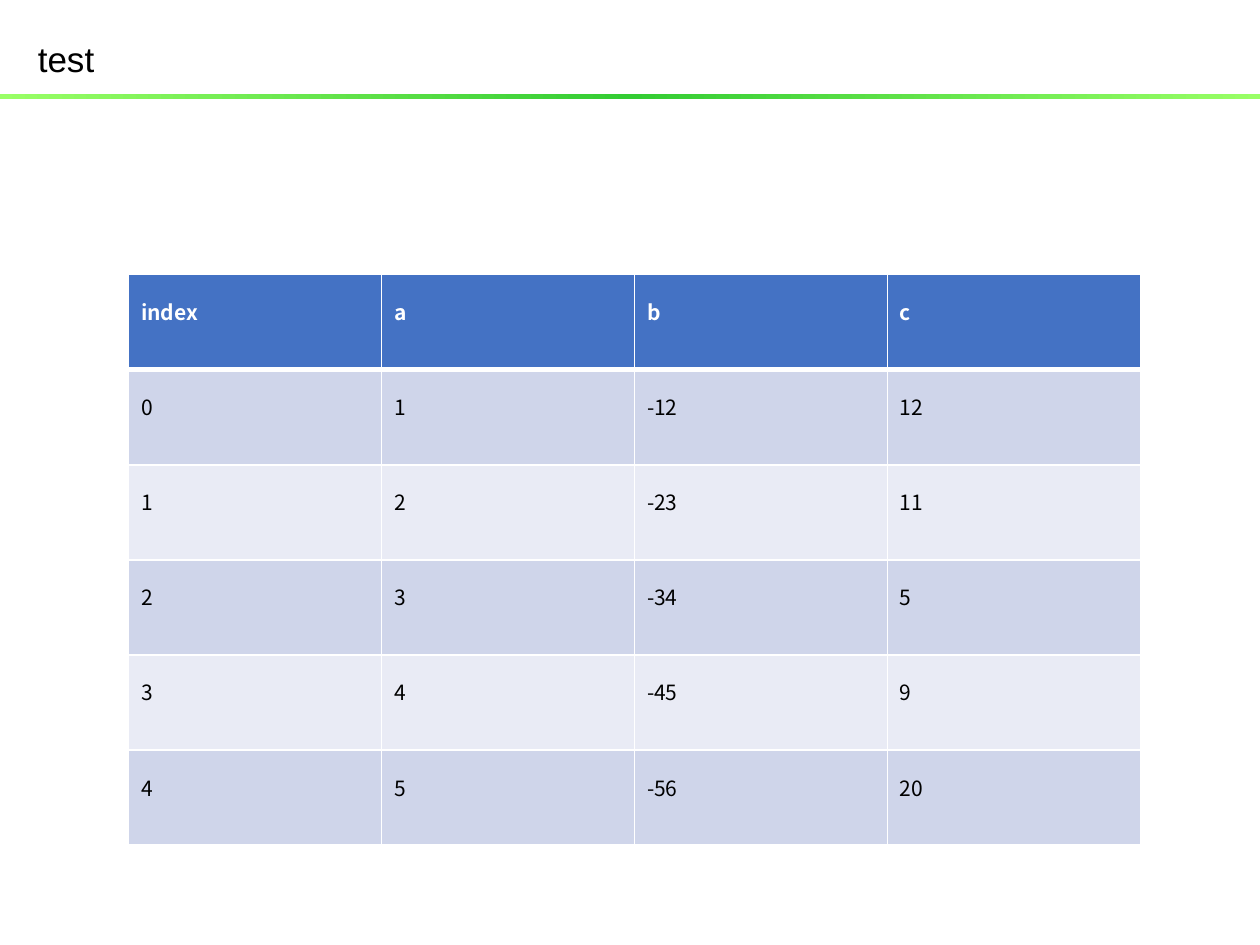
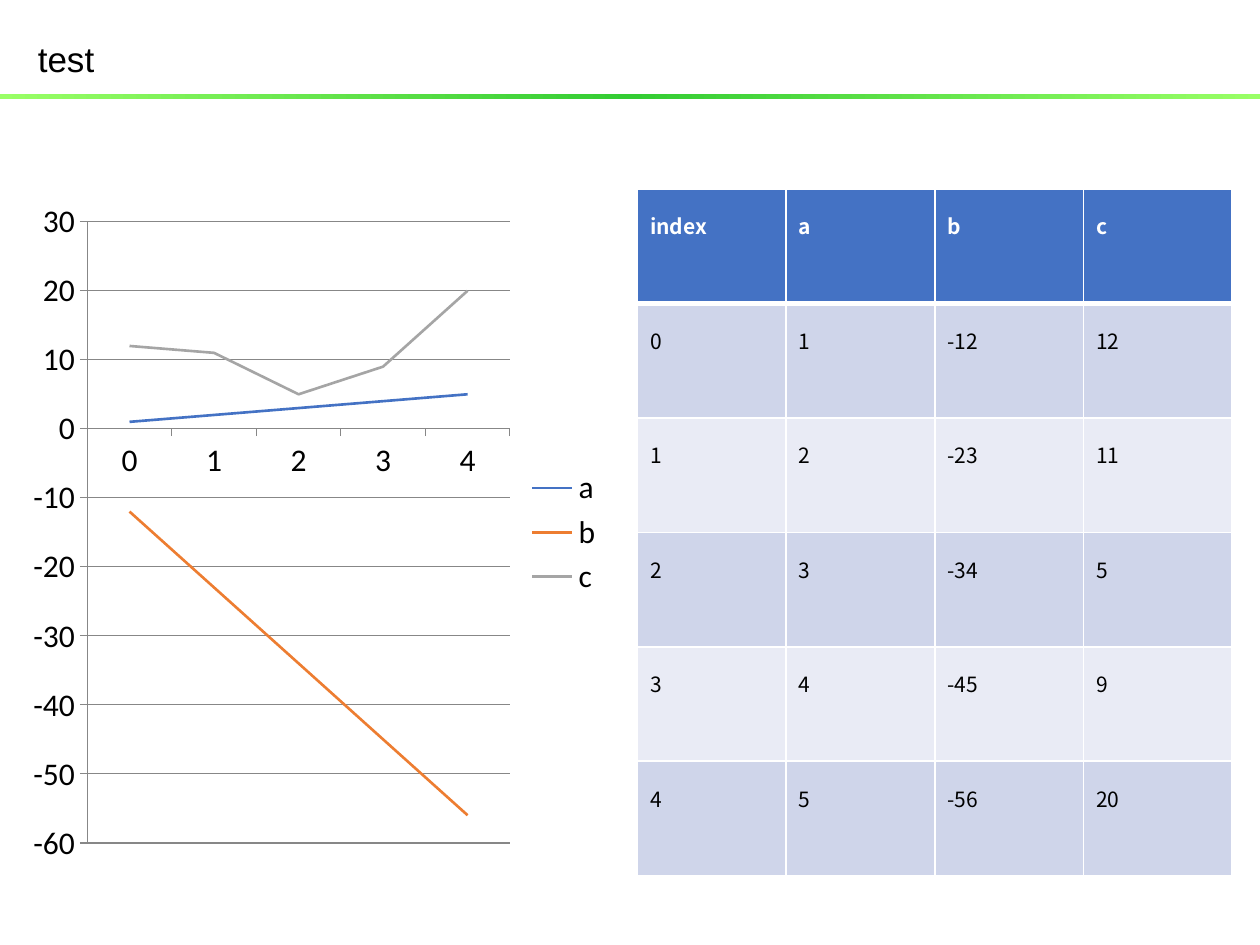
from copy import deepcopy

from lxml import etree
from pptx import Presentation
from pptx import util as u
from pptx.chart.data import CategoryChartData
from pptx.dml.color import RGBColor
from pptx.enum import chart as charts, shapes, text
from pptx.oxml.ns import qn

BLACK = RGBColor(0x00, 0x00, 0x00)
WHITE = RGBColor(0xFF, 0xFF, 0xFF)
LIME = RGBColor(0x99, 0xFF, 0x66)
GREEN = RGBColor(0x33, 0xCC, 0x33)
BLUE = RGBColor(0x44, 0x72, 0xC4)
ORANGE = RGBColor(0xED, 0x7D, 0x31)
GREY = RGBColor(0xA5, 0xA5, 0xA5)
AXIS_GREY = RGBColor(0x87, 0x87, 0x87)
DARK_ROW = RGBColor(0xCF, 0xD5, 0xEA)
LIGHT_ROW = RGBColor(0xE9, 0xEB, 0xF5)

indexes = ["0", "1", "2", "3", "4"]
measures = {
    "a": [1, 2, 3, 4, 5],
    "b": [-12, -23, -34, -45, -56],
    "c": [12, 11, 5, 9, 20],
}
records = [["index", *measures], *zip(indexes, *measures.values())]


def add_border(cell, side, points):
    line = etree.Element(qn(f"a:ln{side}"), w=str(u.Pt(points)))
    fill = etree.SubElement(line, qn("a:solidFill"))
    etree.SubElement(fill, qn("a:srgbClr"), val=str(WHITE))
    cell._tc.get_or_add_tcPr().append(line)


def add_records(slide, left, top, width, height):
    grid = slide.shapes.add_table(
        len(records), len(records[0]),
        u.Inches(left), u.Inches(top), u.Inches(width), u.Inches(height)).table
    for row, record in enumerate(records):
        for column, value in enumerate(record):
            cell = grid.cell(row, column)
            for side in "LRTB":
                under_header = (row, side) in [(0, "B"), (1, "T")]
                add_border(cell, side, 3 if under_header else 1)
            cell.fill.solid()
            cell.fill.fore_color.rgb = BLUE if row == 0 else (LIGHT_ROW, DARK_ROW)[row % 2]
            cell.text = str(value)
            entry = cell.text_frame.paragraphs[0]
            entry.line_spacing = 1.5
            before = etree.Element(qn("a:spcBef"))
            etree.SubElement(before, qn("a:spcPct"), val="50000")
            entry._p.pPr.insert(1, before)
            entry.font.name = "Noto Sans CJK JP"
            entry.font.size = u.Pt(12)
            entry.font.bold = row == 0
            entry.font.color.rgb = WHITE if row == 0 else BLACK


deck = Presentation()
deck.slide_width, deck.slide_height = u.Inches(10), u.Inches(7.5)
title_only = deck.slide_layouts[5]
table_slide, chart_slide = [deck.slides.add_slide(title_only) for _ in range(2)]

for slide in (table_slide, chart_slide):
    band = slide.shapes.add_shape(
        shapes.MSO_SHAPE.RECTANGLE, 0, u.Inches(0.75), deck.slide_width, u.Inches(0.04))
    band.shadow.inherit = False
    band.line.fill.background()
    band.fill.gradient()
    band.fill.gradient_angle = 0
    first_stop = band._element.spPr.find(".//" + qn("a:gs"))
    first_stop.addnext(deepcopy(first_stop))
    for stop, position, color in zip(
            band.fill.gradient_stops, (0, 0.5, 1), (LIME, GREEN, LIME)):
        stop.position = position
        stop.color.rgb = color

    heading = slide.shapes.title
    heading.left, heading.top = u.Inches(0.2), u.Inches(0.21)
    heading.width, heading.height = u.Inches(8.19), u.Inches(0.55)
    heading.text_frame.text = "test"
    heading.text_frame.vertical_anchor = text.MSO_ANCHOR.MIDDLE
    heading_line = heading.text_frame.paragraphs[0]
    heading_line.alignment = text.PP_ALIGN.LEFT
    heading_line.line_spacing = 0.9
    heading_line.font.name = "Arial"
    heading_line.font.size = u.Pt(20)
    heading_line.font.color.rgb = BLACK

add_records(table_slide, 1.02, 2.18, 8.03, 4.53)

half_top, half_width, half_height = 1.5, 4.72, 5.45
trend_data = CategoryChartData()
trend_data.categories = indexes
for measure, values in measures.items():
    trend_data.add_series(measure, values)
trend = chart_slide.shapes.add_chart(
    charts.XL_CHART_TYPE.LINE, u.Inches(0.17), u.Inches(half_top),
    u.Inches(half_width), u.Inches(half_height), trend_data).chart
trend.has_title = False
trend.font.name = "Calibri"
trend.font.size = u.Pt(18)
trend.font.color.rgb = BLACK
trend.has_legend = True
trend.legend.position = charts.XL_LEGEND_POSITION.RIGHT
trend.legend.include_in_layout = False
trend.value_axis.has_major_gridlines = True
for axis in (trend.category_axis, trend.value_axis):
    axis.major_tick_mark = charts.XL_TICK_MARK.OUTSIDE
    axis.minor_tick_mark = charts.XL_TICK_MARK.NONE
for rule in (trend.category_axis, trend.value_axis, trend.value_axis.major_gridlines):
    rule.format.line.color.rgb = AXIS_GREY
    rule.format.line.width = u.Pt(0.75)
for series, color in zip(trend.plots[0].series, (BLUE, ORANGE, GREY)):
    series.smooth = False
    series.format.line.color.rgb = color
    series.format.line.width = u.Pt(1.5)

add_records(chart_slide, 5.06, half_top, half_width, half_height)

deck.save("out.pptx")
